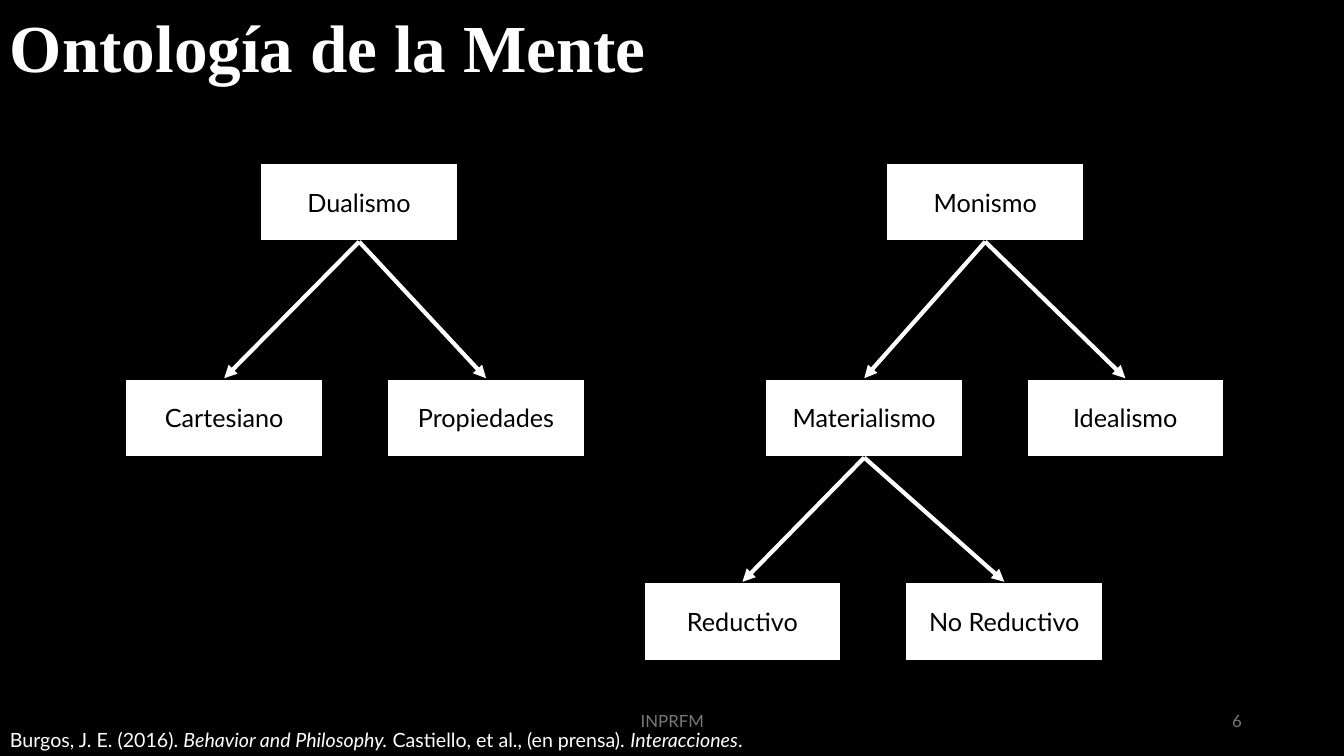
"""Build the slide that shows the ontology of mind as two trees."""
from dataclasses import dataclass

from lxml import etree
from pptx import Presentation
from pptx.dml.color import RGBColor
from pptx.enum.shapes import MSO_CONNECTOR, MSO_SHAPE
from pptx.enum.text import MSO_ANCHOR, MSO_AUTO_SIZE, PP_ALIGN
from pptx.oxml.ns import qn
from pptx.shapes.autoshape import Shape
from pptx.slide import Slide
from pptx.text.text import TextFrame
from pptx.util import Cm, Pt

RECTANGLE = MSO_SHAPE.RECTANGLE
STRAIGHT = MSO_CONNECTOR.STRAIGHT
TOP, MIDDLE = MSO_ANCHOR.TOP, MSO_ANCHOR.MIDDLE
LEFT, CENTER, RIGHT = PP_ALIGN.LEFT, PP_ALIGN.CENTER, PP_ALIGN.RIGHT
GROW, FIXED = MSO_AUTO_SIZE.SHAPE_TO_FIT_TEXT, MSO_AUTO_SIZE.NONE
TOP_SIDE, BOTTOM_SIDE = 0, 2

COLOURS = {"black": "000000", "white": "FFFFFF", "grey": "797979"}
PAGE_WIDTH, PAGE_HEIGHT = 33.87, 19.05
NODE_WIDTH, NODE_HEIGHT = 5, 2
LEVEL_TOPS = (4.09, 9.53, 14.66)

NODE_FONT = {"name": "Lato", "size": Pt(18)}
TITLE_FONT = {"name": "Times New Roman", "size": Pt(48), "bold": True}
CITATION_FONT = {"name": "Lato", "size": Pt(14)}
FOOTER_FONT = {"name": "Lato", "size": Pt(12)}


@dataclass(frozen=True)
class Node:
    name: str
    left: float
    level: int
    parent: str = ""


@dataclass(frozen=True)
class Span:
    text: str
    italic: bool = False


@dataclass(frozen=True)
class Label:
    spans: tuple[Span, ...]
    place: tuple[float, float, float, float]
    font: dict
    colour: str
    align: PP_ALIGN = LEFT
    anchor: MSO_ANCHOR = TOP
    fit: MSO_AUTO_SIZE = GROW


NODES = (
    Node("Dualismo", 6.55, 0),
    Node("Monismo", 22.33, 0),
    Node("Cartesiano", 3.15, 1, "Dualismo"),
    Node("Propiedades", 9.75, 1, "Dualismo"),
    Node("Materialismo", 19.28, 1, "Monismo"),
    Node("Idealismo", 25.86, 1, "Monismo"),
    Node("Reductivo", 16.21, 2, "Materialismo"),
    Node("No Reductivo", 22.81, 2, "Materialismo"),
)

CITATION = (
    Span("Burgos, J. E. (2016). "),
    Span("Behavior and Philosophy. ", True),
    Span("Castiello, et al., (en prensa). "),
    Span("Interacciones", True),
    Span("."),
)

LABELS = (
    Label((Span("6"),), (23.93, 17.65, 7.62, 1.02), FOOTER_FONT, "grey", RIGHT, MIDDLE, FIXED),
    Label((Span("Ontología de la Mente"),), (0, 0, PAGE_WIDTH, 2.31), TITLE_FONT, "white"),
    Label(CITATION, (0, 18.21, PAGE_WIDTH, 0.86), CITATION_FONT, "white"),
    Label((Span("INPRFM"),), (11.23, 17.65, 11.43, 1.02), FOOTER_FONT, "grey", CENTER, MIDDLE, FIXED),
)


def colour_of(name: str) -> RGBColor:
    return RGBColor.from_string(COLOURS[name])


def write(frame: TextFrame, spans: tuple[Span, ...], font: dict, colour: str,
          align: PP_ALIGN, anchor: MSO_ANCHOR) -> None:
    frame.word_wrap = True
    frame.vertical_anchor = anchor
    para = frame.paragraphs[0]
    para.alignment = align
    for span in spans:
        run = para.add_run()
        run.text = span.text
        for key, value in {**font, "italic": span.italic}.items():
            setattr(run.font, key, value)
        run.font.color.rgb = colour_of(colour)


def draw_node(page: Slide, node: Node) -> Shape:
    box = page.shapes.add_shape(RECTANGLE, Cm(node.left), Cm(LEVEL_TOPS[node.level]),
                                Cm(NODE_WIDTH), Cm(NODE_HEIGHT))
    box.shadow.inherit = False
    box.fill.solid()
    box.fill.fore_color.rgb = colour_of("white")
    box.line.color.rgb = colour_of("black")
    box.line.width = Pt(2)
    write(box.text_frame, (Span(node.name),), NODE_FONT, "black", CENTER, MIDDLE)
    return box


def draw_arrow(page: Slide, parent: Shape, child: Shape) -> None:
    arrow = page.shapes.add_connector(STRAIGHT, 0, 0, 0, 0)
    arrow.begin_connect(parent, BOTTOM_SIDE)
    arrow.end_connect(child, TOP_SIDE)
    arrow.line.color.rgb = colour_of("white")
    arrow.line.width = Pt(3)
    etree.SubElement(arrow.line._get_or_add_ln(), qn("a:tailEnd"), type="triangle")
    etree.SubElement(arrow._element.spPr, qn("a:effectLst"))


def draw_label(page: Slide, label: Label) -> None:
    box = page.shapes.add_textbox(*(Cm(length) for length in label.place))
    write(box.text_frame, label.spans, label.font, label.colour, label.align, label.anchor)
    box.text_frame.auto_size = label.fit


def main() -> None:
    deck = Presentation()
    deck.slide_width, deck.slide_height = Cm(PAGE_WIDTH), Cm(PAGE_HEIGHT)
    page = deck.slides.add_slide(deck.slide_layouts[6])
    page.background.fill.solid()
    page.background.fill.fore_color.rgb = colour_of("black")

    boxes = {node.name: draw_node(page, node) for node in NODES}
    for node in NODES:
        if node.parent:
            draw_arrow(page, boxes[node.parent], boxes[node.name])
    for label in LABELS:
        draw_label(page, label)
    deck.save("out.pptx")


if __name__ == "__main__":
    main()
